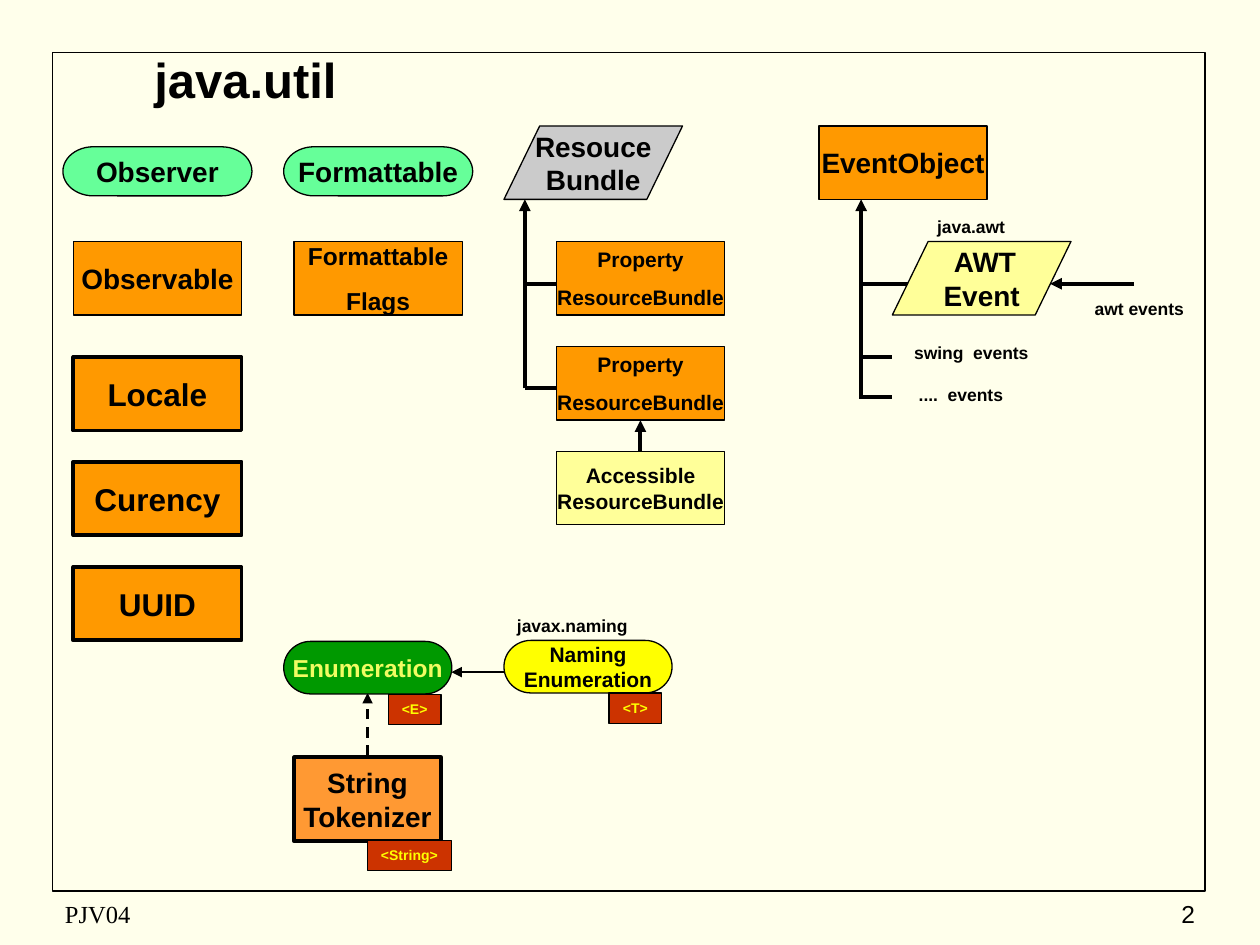
from lxml import etree
from pptx import Presentation
from pptx import util as u
from pptx.dml.color import RGBColor
from pptx.enum import dml, shapes, text
from pptx.oxml import ns

BLACK = RGBColor(0x00, 0x00, 0x00)
IVORY = RGBColor(0xFF, 0xFF, 0xEB)
ORANGE = RGBColor(0xFF, 0x99, 0x00)
APRICOT = RGBColor(0xFF, 0x99, 0x33)
MINT = RGBColor(0x66, 0xFF, 0x99)
GREY = RGBColor(0xCB, 0xCB, 0xCB)
PALE = RGBColor(0xFF, 0xFF, 0x99)
GREEN = RGBColor(0x00, 0x99, 0x00)
LIME = RGBColor(0xF1, 0xFC, 0x62)
YELLOW = RGBColor(0xFF, 0xFF, 0x00)
RED = RGBColor(0xCC, 0x33, 0x00)

RECT = shapes.MSO_SHAPE.RECTANGLE
PILL = shapes.MSO_SHAPE.FLOWCHART_TERMINATOR
SLANT = shapes.MSO_SHAPE.FLOWCHART_DATA
PROCESS = shapes.MSO_SHAPE.FLOWCHART_PROCESS
CENTER, LEFT, RIGHT = text.PP_ALIGN.CENTER, text.PP_ALIGN.LEFT, text.PP_ALIGN.RIGHT
MIDDLE, TOP = text.MSO_ANCHOR.MIDDLE, text.MSO_ANCHOR.TOP


def write(sp, words, size, color=BLACK, before=0, align=CENTER, anchor=MIDDLE,
          wrap=True, name="Arial", bold=True):
    """Fill a shape with one paragraph per line of words."""
    tf = sp.text_frame
    tf.text = words
    frame = {"word_wrap": wrap, "vertical_anchor": anchor,
             "auto_size": text.MSO_AUTO_SIZE.NONE}
    for key, value in frame.items():
        setattr(tf, key, value)
    font = {"name": name, "size": u.Pt(size), "bold": bold}
    for p in tf.paragraphs:
        p.alignment, p.space_before = align, u.Pt(before)
        for r in p.runs:
            for key, value in font.items():
                setattr(r.font, key, value)
            r.font.color.rgb = color


def add_box(kind, x, y, w, h, fill, width):
    sp = s.shapes.add_shape(kind, u.Cm(x), u.Cm(y), u.Cm(w), u.Cm(h))
    sp.shadow.inherit = False
    if fill is None:
        sp.fill.background()
    else:
        sp.fill.solid()
        sp.fill.fore_color.rgb = fill
    sp.line.color.rgb = BLACK
    sp.line.width = u.Pt(width)
    return sp


prs = Presentation()
prs.slide_width, prs.slide_height = u.Cm(25.4), u.Cm(19.05)
s = prs.slides.add_slide(prs.slide_layouts[5])
s.background.fill.solid()
s.background.fill.fore_color.rgb = IVORY

add_box(RECT, 1.06, 1.06, 23.24, 16.9, None, 1)

title = s.shapes.title
place = {"left": 1.06, "top": 0.85, "width": 8.05, "height": 1.48}
for key, value in place.items():
    setattr(title, key, u.Cm(value))
write(title, "java.util ", 28)

# Lines: start, end, width, arrow at the end, dashed
lines = [
    (10.58, 7.83, 10.58, 4.02, 2.25, True, False),
    (10.58, 5.72, 11.22, 5.72, 2.25, False, False),
    (10.58, 7.83, 11.22, 7.83, 2.25, False, False),
    (12.91, 9.1, 12.91, 8.47, 2.25, True, False),
    (10.16, 13.55, 9.1, 13.55, 1.5, True, False),
    (7.41, 15.24, 7.41, 13.97, 1.5, True, True),
    (22.86, 5.72, 21.17, 5.72, 2.25, True, False),
    (17.36, 8.04, 17.36, 4.02, 2.25, True, False),
    (17.36, 5.72, 18.42, 5.72, 2.25, False, False),
    (17.36, 7.2, 17.99, 7.2, 2.25, False, False),
    (17.36, 8, 17.99, 8, 2.25, False, False),
]
for x1, y1, x2, y2, width, arrow, dashed in lines:
    cn = s.shapes.add_connector(shapes.MSO_CONNECTOR.STRAIGHT,
                                u.Cm(x1), u.Cm(y1), u.Cm(x2), u.Cm(y2))
    cn.line.color.rgb = BLACK
    cn.line.width = u.Pt(width)
    if dashed:
        cn.line.dash_style = dml.MSO_LINE.DASH
    if arrow:
        etree.SubElement(cn.line._get_or_add_ln(), ns.qn("a:tailEnd"), type="triangle")
    etree.SubElement(cn._element.spPr, ns.qn("a:effectLst"))

# Class boxes, all of one size: x, y, words, size, space before, fill, line width
classes = [
    (1.48, 4.87, "Observable", 16, 10, ORANGE, 0.75),
    (1.48, 7.2, "Locale", 18, 11.2, ORANGE, 2.25),
    (1.48, 9.31, "Curency", 18, 11.2, ORANGE, 2.25),
    (1.48, 11.43, "UUID", 18, 11.2, ORANGE, 2.25),
    (5.93, 4.87, "Formattable\nFlags", 14, 8.8, ORANGE, 0.75),
    (11.22, 4.87, "Property\nResourceBundle", 12, 7.5, ORANGE, 0.75),
    (11.22, 6.99, "Property\nResourceBundle", 12, 7.5, ORANGE, 0.75),
    (11.22, 9.1, "Accessible\nResourceBundle", 12, 0, PALE, 0.75),
    (16.51, 2.54, "EventObject", 16, 0, ORANGE, 0.75),
]
for x, y, words, size, before, fill, width in classes:
    sp = add_box(RECT, x, y, 3.39, 1.48, fill, width)
    write(sp, words, size, before=before, wrap=False)

# Interfaces, abstract classes and the tokenizer
others = [
    (PILL, 1.27, 2.96, 3.81, 0.99, "Observer", 16, MINT, BLACK, 0.75),
    (PILL, 5.72, 2.96, 3.81, 0.99, "Formattable", 16, MINT, BLACK, 0.75),
    (SLANT, 10.16, 2.54, 3.6, 1.48, "Resouce\nBundle", 16, GREY, BLACK, 0.75),
    (SLANT, 17.99, 4.87, 3.6, 1.48, " AWT\nEvent", 16, PALE, BLACK, 0.75),
    (PILL, 5.72, 12.93, 3.39, 1.06, "Enumeration", 14, GREEN, LIME, 0.75),
    (PILL, 10.16, 12.91, 3.39, 1.06, "Naming\nEnumeration", 12, YELLOW, BLACK, 0.75),
    (PROCESS, 5.93, 15.27, 2.96, 1.69, "String\nTokenizer", 16, APRICOT, BLACK, 2.25),
]
for kind, x, y, w, h, words, size, fill, color, width in others:
    write(add_box(kind, x, y, w, h, fill, width), words, size, color, wrap=False)

# Type parameters
for x, y, w, words in [(12.28, 13.97, 1.06, "<T>"), (7.83, 14, 1.06, "<E>"),
                       (7.41, 16.94, 1.69, "<String>")]:
    sp = add_box(RECT, x, y, w, 0.61, RED, 0.75)
    write(sp, words, 8, YELLOW, before=5, anchor=TOP)

# Labels and footer
label = {"size": 10, "before": 6.2, "anchor": TOP}
footer = {"size": 14, "bold": False}
labels = [
    (10.16, 12.28, 2.75, 0.69, "javax.naming", label),
    (18.2, 4.23, 2.75, 0.69, "java.awt", label),
    (21.59, 5.89, 2.75, 0.69, "awt events", label),
    (17.99, 6.77, 3.18, 0.69, "swing  events", label),
    (17.78, 7.62, 3.18, 0.69, "....  events", label),
    (1.06, 17.99, 8.05, 0.85, "PJV04", {**footer, "align": LEFT, "name": "Times New Roman"}),
    (19.05, 17.99, 5.29, 0.85, "2", {**footer, "align": RIGHT}),
]
for x, y, w, h, words, style in labels:
    write(s.shapes.add_textbox(u.Cm(x), u.Cm(y), u.Cm(w), u.Cm(h)), words, **style)

prs.save("out.pptx")
